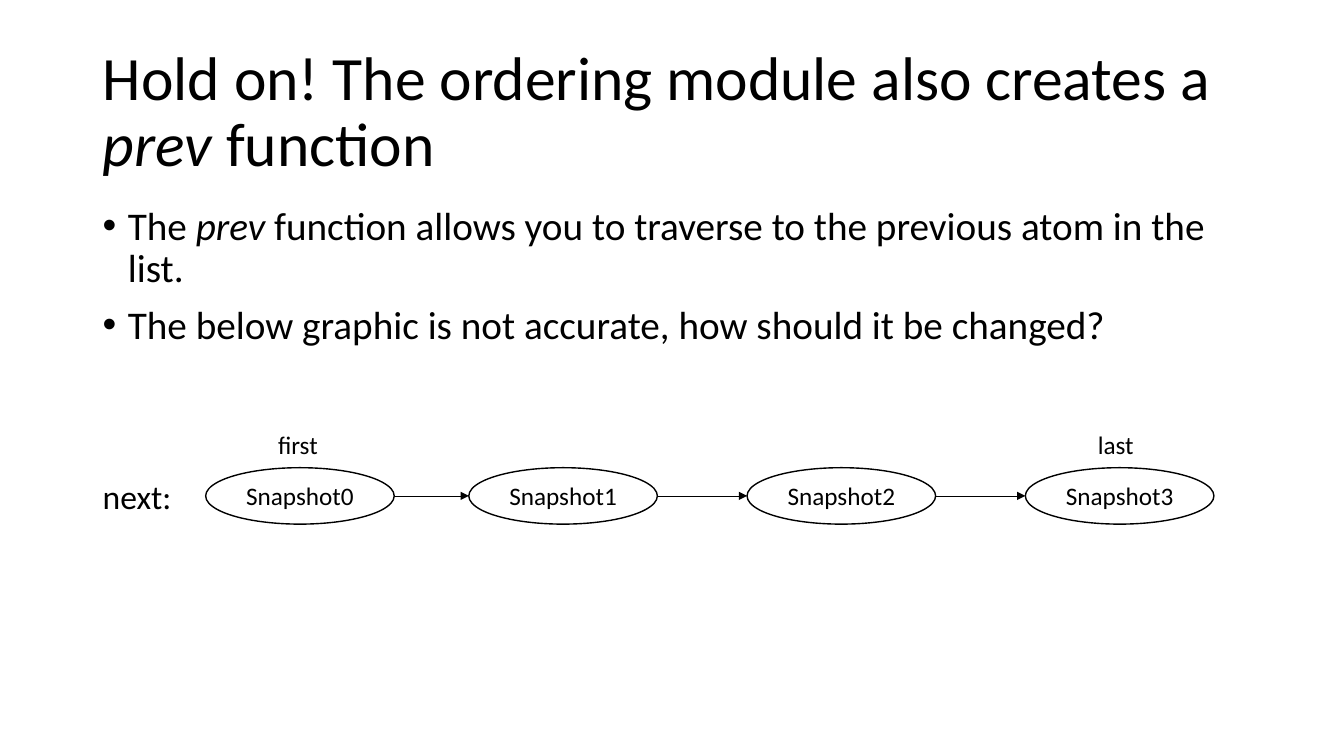
from lxml.etree import SubElement
from pptx import Presentation
from pptx.dml.color import RGBColor
from pptx.enum.shapes import MSO_CONNECTOR, MSO_SHAPE
from pptx.enum.text import MSO_ANCHOR, MSO_AUTO_SIZE, PP_ALIGN
from pptx.oxml.ns import qn
from pptx.util import Inches, Pt

FONT, BLACK, WHITE = "Calibri", "000000", "FFFFFF"

# Each run is (text, italic)
TITLE = [("Hold on! The ordering module also creates a ", False),
         ("prev", True), (" function", False)]
POINTS = [
    [("The ", False), ("prev", True),
     (" function allows you to traverse to the previous atom in the list.", False)],
    [("The below graphic is not accurate, how should it be changed?", False)],
]
NODES = [("Snapshot0", 2.04), ("Snapshot1", 4.65),
         ("Snapshot2", 7.41), ("Snapshot3", 10.17)]
NODE_TOP, NODE_W, NODE_H = 4.64, 1.87, 0.56
LABELS = [("next:", 24, (0.92, 4.67, 0.89, 0.5)),
          ("first", 18, (2.66, 4.21, 0.6, 0.4)),
          ("last", 18, (10.79, 4.21, 0.56, 0.4))]


def color(code):
    return RGBColor.from_string(code)


def write(para, runs, size, align=PP_ALIGN.LEFT):
    para.alignment = align
    for text, italic in runs:
        run = para.add_run()
        run.text = text
        font = run.font
        font.name, font.size, font.italic = FONT, Pt(size), italic
        font.color.rgb = color(BLACK)


def add_box(slide, box, wrap):
    frame = slide.shapes.add_textbox(*map(Inches, box)).text_frame
    frame.word_wrap = wrap
    return frame


def add_title(slide):
    title = slide.shapes.title
    title.left, title.top, title.width, title.height = map(
        Inches, (0.92, 0.4, 11.5, 1.45))
    frame = title.text_frame
    frame.vertical_anchor = MSO_ANCHOR.MIDDLE
    frame.auto_size = MSO_AUTO_SIZE.NONE
    para = frame.paragraphs[0]
    para.line_spacing = 0.9
    write(para, TITLE, 44)


def add_points(slide):
    frame = add_box(slide, (0.92, 2, 11.5, 1.71), True)
    for i, runs in enumerate(POINTS):
        para = frame.add_paragraph() if i else frame.paragraphs[0]
        para.line_spacing, para.space_before = 0.9, Pt(10)
        write(para, runs, 28)
        props = para._p.get_or_add_pPr()
        props.set("marL", str(Inches(0.25)))
        props.set("indent", str(Inches(-0.25)))
        SubElement(props, qn("a:buFont"), typeface="Arial")
        SubElement(props, qn("a:buChar"), char="•")


def add_node(slide, name, left):
    node = slide.shapes.add_shape(
        MSO_SHAPE.OVAL, *map(Inches, (left, NODE_TOP, NODE_W, NODE_H)))
    node.shadow.inherit = False
    node.fill.solid()
    node.fill.fore_color.rgb = color(WHITE)
    node.line.color.rgb = color(BLACK)
    node.line.width = Pt(1)
    frame = node.text_frame
    frame.word_wrap = False
    frame.vertical_anchor = MSO_ANCHOR.MIDDLE
    write(frame.paragraphs[0], [(name, False)], 18, PP_ALIGN.CENTER)
    return node


def add_arrow(slide, start, end):
    mid = Inches(NODE_TOP + NODE_H / 2)
    arrow = slide.shapes.add_connector(
        MSO_CONNECTOR.STRAIGHT, start.left + start.width, mid, end.left, mid)
    arrow.line.color.rgb = color(BLACK)
    arrow.line.width = Pt(0.5)
    props = arrow._element.spPr
    SubElement(props.find(qn("a:ln")), qn("a:tailEnd"), type="triangle")
    SubElement(props, qn("a:effectLst"))


def main():
    deck = Presentation()
    deck.slide_width, deck.slide_height = Inches(13.33), Inches(7.5)
    slide = deck.slides.add_slide(deck.slide_layouts[5])
    add_title(slide)
    add_points(slide)
    nodes = [add_node(slide, name, left) for name, left in NODES]
    for start, end in zip(nodes, nodes[1:]):
        add_arrow(slide, start, end)
    for text, size, box in LABELS:
        frame = add_box(slide, box, False)
        frame.auto_size = MSO_AUTO_SIZE.SHAPE_TO_FIT_TEXT
        write(frame.paragraphs[0], [(text, False)], size)
    deck.save("out.pptx")


if __name__ == "__main__":
    main()
